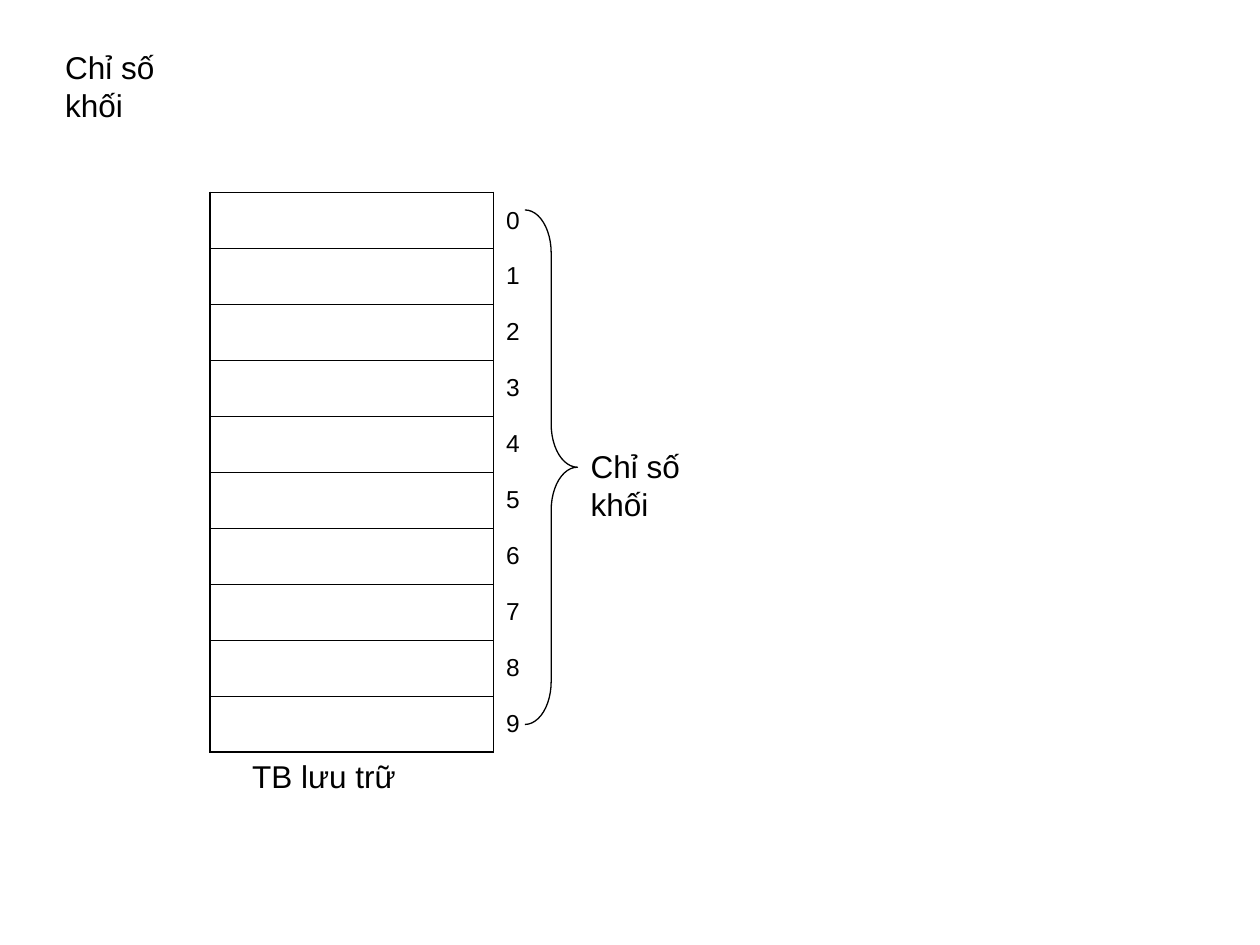
from lxml import etree
from pptx import Presentation
from pptx.dml.color import RGBColor
from pptx.enum.shapes import MSO_SHAPE
from pptx.enum.text import MSO_ANCHOR, MSO_AUTO_SIZE, PP_ALIGN
from pptx.oxml.ns import qn
from pptx.util import Pt

BRACE = MSO_SHAPE.RIGHT_BRACE
MIDDLE = MSO_ANCHOR.MIDDLE
TOP = MSO_ANCHOR.TOP
LEFT = PP_ALIGN.LEFT
FIT = MSO_AUTO_SIZE.SHAPE_TO_FIT_TEXT

THEME = {"font": "Arial", "ink": "000000", "label": 18, "index": 14,
         "thin": 0.45, "thick": 1.08, "brace": 0.75}
INK = RGBColor.from_string(THEME["ink"])

TITLE = ("Chỉ số khối", (30, 24, 103, 29))
LABELS = [
    ("TB lưu trữ", (137, 429, 97, 29)),
    ("Chỉ số khối", (330.5, 252, 103, 29)),
]
BLOCKS = [str(n) for n in range(10)]
GRID = {"left": 120, "top": 110, "cols": (162, 48), "row": 32}
SPAN = {"left": 300, "width": 30, "inset": 10}


def write(frame, text, size=THEME["label"], anchor=TOP):
    frame.text = text
    frame.vertical_anchor = anchor
    para = frame.paragraphs[0]
    para.alignment = LEFT
    font = para.runs[0].font
    font.name = THEME["font"]
    font.size = Pt(size)
    font.bold = False
    font.color.rgb = INK


def place(shape, box):
    shape.left, shape.top, shape.width, shape.height = map(Pt, box)


def label(shape, text):
    frame = shape.text_frame
    frame.margin_left = frame.margin_right = Pt(7.2)
    frame.margin_top = frame.margin_bottom = Pt(3.6)
    write(frame, text)
    frame.word_wrap = False
    frame.auto_size = FIT


def edge(cell, **widths):
    props = cell._tc.get_or_add_tcPr()
    for side in "LRTB":
        line = etree.SubElement(props, qn("a:ln" + side))
        width = widths.get(side)
        if width is None:
            etree.SubElement(line, qn("a:noFill"))
            continue
        line.set("w", str(int(Pt(width))))
        fill = etree.SubElement(line, qn("a:solidFill"))
        etree.SubElement(fill, qn("a:srgbClr"), val=THEME["ink"])
    cell.fill.background()


def draw_store(shapes):
    count, cols = len(BLOCKS), GRID["cols"]
    box = (GRID["left"], GRID["top"], sum(cols), count * GRID["row"])
    table = shapes.add_table(count, len(cols), *map(Pt, box)).table
    table.first_row = table.horz_banding = False
    for col, width in zip(table.columns, cols):
        col.width = Pt(width)
    thin, thick = THEME["thin"], THEME["thick"]
    for pos, index in enumerate(BLOCKS):
        table.rows[pos].height = Pt(GRID["row"])
        block, mark = table.cell(pos, 0), table.cell(pos, 1)
        edge(block, L=thick, R=thin,
             T=thick if pos == 0 else thin,
             B=thick if pos == count - 1 else thin)
        edge(mark, L=thin)
        write(mark.text_frame, index, size=THEME["index"])
        mark.vertical_anchor = MIDDLE


def draw_brace(shapes):
    high = len(BLOCKS) * GRID["row"] - 2 * SPAN["inset"] - 6
    box = (SPAN["left"], GRID["top"] + SPAN["inset"], SPAN["width"], high)
    brace = shapes.add_shape(BRACE, *map(Pt, box))
    brace.adjustments[0] = 0.82
    brace.adjustments[1] = 0.5
    brace.shadow.inherit = False
    brace.fill.background()
    brace.line.color.rgb = INK
    brace.line.width = Pt(THEME["brace"])


def main():
    deck = Presentation()
    deck.slide_width, deck.slide_height = Pt(720), Pt(540)
    slide = deck.slides.add_slide(deck.slide_layouts.get_by_name("Title Only"))
    shapes = slide.shapes
    text, box = TITLE
    place(shapes.title, box)
    label(shapes.title, text)
    draw_store(shapes)
    draw_brace(shapes)
    for text, box in LABELS:
        label(shapes.add_textbox(*map(Pt, box)), text)
    deck.save("out.pptx")


if __name__ == "__main__":
    main()
